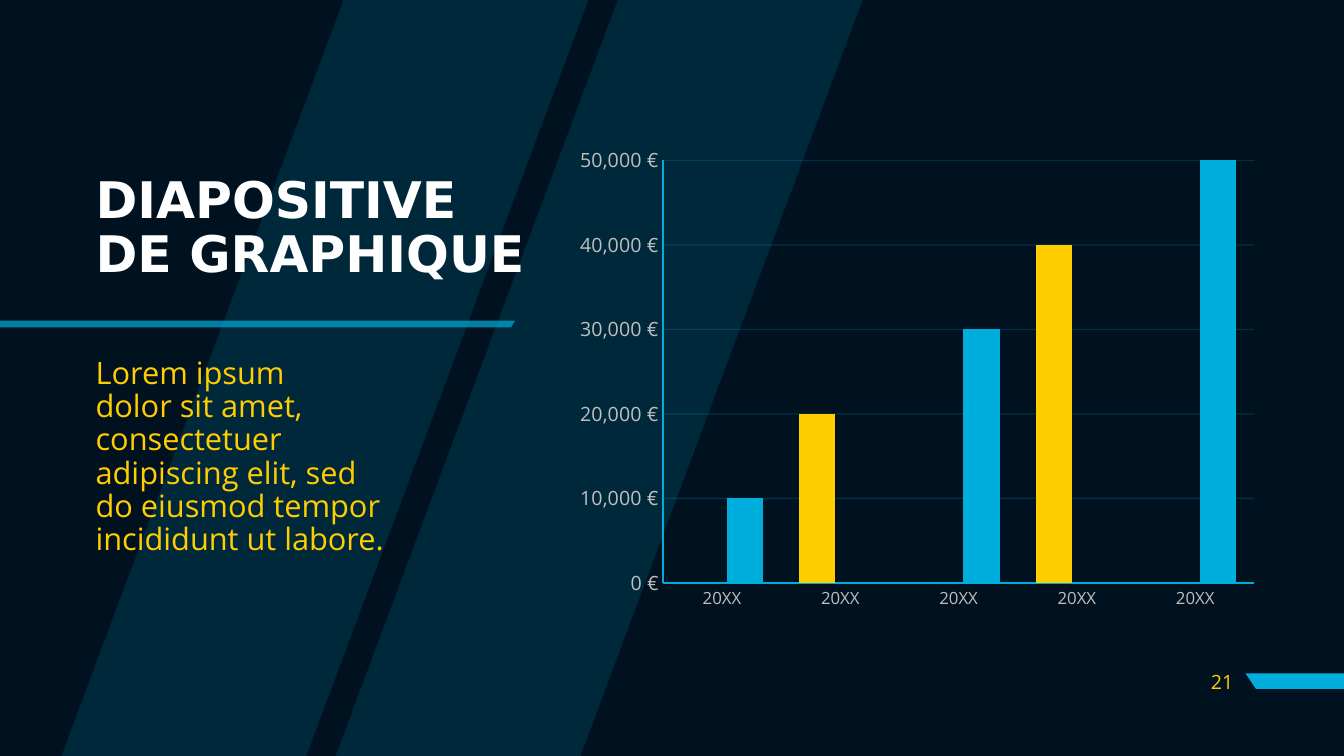
from copy import deepcopy

from lxml.etree import SubElement
from pptx import Presentation
from pptx.chart.data import CategoryChartData
from pptx.dml.color import RGBColor
from pptx.enum.chart import XL_CHART_TYPE, XL_TICK_MARK
from pptx.enum.text import MSO_ANCHOR, PP_ALIGN
from pptx.oxml import parse_xml
from pptx.oxml.ns import nsdecls, qn
from pptx.util import Cm, Pt

NIGHT = RGBColor(0x00, 0x11, 0x1F)
CYAN = RGBColor(0x00, 0xAE, 0xDE)
YELLOW = RGBColor(0xFF, 0xCD, 0x00)
WHITE = RGBColor(0xFF, 0xFF, 0xFF)
SILVER = RGBColor(0xBF, 0xBF, 0xBF)

WIDTH, HEIGHT = 33.87, 19.05


def set_opacity(fill_parent, percent):
    color = fill_parent.find(".//" + qn("a:srgbClr"))
    SubElement(color, qn("a:alpha")).set("val", str(percent * 1000))


def format_text(frame, text, *, size, color, font="Open Sans", bold=False,
                align=PP_ALIGN.LEFT, spacing=1.0):
    paragraph = frame.paragraphs[0]
    paragraph.text = text
    paragraph.alignment = align
    paragraph.line_spacing = spacing
    for run in paragraph.runs:
        run.font.name = font
        run.font.size = Pt(size)
        run.font.bold = bold
        run.font.color.rgb = color


class SlideBuilder:
    def __init__(self, slide, font="Open Sans"):
        self.slide = slide
        self.font = font
        background = slide.background.fill
        background.solid()
        background.fore_color.rgb = NIGHT

    def outline(self, *contours, color=CYAN, opacity=100):
        """Draw closed contours, given as points in cm, as one filled shape."""
        first, *others = [[(Cm(x), Cm(y)) for x, y in contour] for contour in contours]
        builder = self.slide.shapes.build_freeform(*first[0])
        builder.add_line_segments(first[1:])
        for contour in others:
            builder.move_to(*contour[0])
            builder.add_line_segments(contour[1:])
        shape = builder.convert_to_shape()
        shape.shadow.inherit = False
        shape.line.fill.background()
        shape.fill.solid()
        shape.fill.fore_color.rgb = color
        if opacity < 100:
            set_opacity(shape._element.spPr, opacity)

    def text(self, text, left, top, width, height, anchor=MSO_ANCHOR.TOP, **style):
        box = self.slide.shapes.add_textbox(Cm(left), Cm(top), Cm(width), Cm(height))
        frame = box.text_frame
        frame.word_wrap = True
        frame.vertical_anchor = anchor
        format_text(frame, text, **{"font": self.font, **style})

    def style_axis(self, axis, size):
        axis.major_tick_mark = axis.minor_tick_mark = XL_TICK_MARK.NONE
        axis.format.line.color.rgb = CYAN
        axis.format.line.width = Pt(1)
        labels = axis.tick_labels.font
        labels.name, labels.size, labels.color.rgb = self.font, Pt(size), SILVER

    def column_chart(self, years, series, left, top, width, height, plot_area):
        """Add a chart; series maps a name to (values, color)."""
        data = CategoryChartData()
        data.categories = years
        for name, (values, _) in series.items():
            data.add_series(name, values)
        chart = self.slide.shapes.add_chart(
            XL_CHART_TYPE.COLUMN_CLUSTERED,
            Cm(left), Cm(top), Cm(width), Cm(height), data).chart
        chart.has_legend = chart.has_title = False
        chart.font.name, chart.font.size = self.font, Pt(10)

        plot = chart.plots[0]
        plot.vary_by_categories = False
        plot.gap_width, plot.overlap = 100, -27
        for columns, (_, color) in zip(plot.series, series.values()):
            columns.format.fill.solid()
            columns.format.fill.fore_color.rgb = color

        self.style_axis(chart.category_axis, 12)
        amounts = chart.value_axis
        self.style_axis(amounts, 14)
        amounts.minimum_scale, amounts.maximum_scale = 0, 50000
        amounts.major_unit = 10000
        amounts.tick_labels.number_format = r'#,##0\ "€"'
        amounts.tick_labels.number_format_is_linked = False
        grid = amounts.major_gridlines
        grid.format.line.color.rgb = CYAN
        grid.format.line.width = Pt(1)
        set_opacity(amounts._element.find(qn("c:majorGridlines")), 20)
        self.move_last_series_right(chart)
        self.place_plot(chart, plot_area)

    def move_last_series_right(self, chart):
        """Put the last series on a hidden second pair of axes."""
        area = chart._chartSpace.chart.plotArea
        left_bars = area.find(qn("c:barChart"))
        right_bars = deepcopy(left_bars)
        left_bars.addnext(right_bars)
        left_bars.remove(left_bars.findall(qn("c:ser"))[-1])
        for columns in right_bars.findall(qn("c:ser"))[:-1]:
            right_bars.remove(columns)

        old_ids = [ref.get("val") for ref in left_bars.findall(qn("c:axId"))]
        new_ids = dict(zip(old_ids, ("50010", "50020")))
        categories = deepcopy(chart.category_axis._element)
        amounts = deepcopy(chart.value_axis._element)
        amounts.remove(amounts.find(qn("c:majorGridlines")))
        amounts.find(qn("c:axPos")).set("val", "r")
        amounts.find(qn("c:crosses")).set("val", "max")
        for axis in (categories, amounts):
            axis.find(qn("c:delete")).set("val", "1")
        for part in (right_bars, categories, amounts):
            for tag in ("c:axId", "c:crossAx"):
                for ref in part.findall(qn(tag)):
                    ref.set("val", new_ids[ref.get("val")])
        last_axis = chart.value_axis._element
        last_axis.addnext(categories)
        last_axis.addnext(amounts)

    def place_plot(self, chart, plot_area):
        """Fix the inner plot area as (x, y, w, h) fractions of the chart."""
        modes = "".join(f'<c:{axis}Mode val="edge"/>' for axis in "xy")
        sizes = "".join(f'<c:{side} val="{share}"/>'
                        for side, share in zip("xywh", plot_area))
        area = chart._chartSpace.chart.plotArea
        for layout in area.findall(qn("c:layout")):
            area.remove(layout)
        area.insert(0, parse_xml(
            f'<c:layout {nsdecls("c")}><c:manualLayout>'
            f'<c:layoutTarget val="inner"/>{modes}{sizes}'
            '</c:manualLayout></c:layout>'))


def slanted_band(foot, width=6.17, slant=7.11):
    return [(foot, HEIGHT), (foot + width, HEIGHT),
            (foot + width + slant, 0), (foot + slant, 0)]


def main():
    deck = Presentation()
    deck.slide_width, deck.slide_height = Cm(WIDTH), Cm(HEIGHT)
    page = SlideBuilder(deck.slides.add_slide(deck.slide_layouts[6]))

    page.outline(slanted_band(1.55), slanted_band(8.46), opacity=15)
    page.outline([(WIDTH, 16.97), (WIDTH, 17.36), (31.65, 17.36), (31.39, 16.97)])
    page.outline([(0, 8.08), (0, 8.25), (12.88, 8.25), (12.98, 8.08)], opacity=70)

    page.text("DIAPOSITIVE DE GRAPHIQUE", 2.16, 3.66, 11.56, 4.24,
              anchor=MSO_ANCHOR.MIDDLE, size=36, color=WHITE,
              font="DejaVu Sans", bold=True, spacing=0.9)
    page.text("Lorem ipsum\ndolor sit amet, consectetuer adipiscing elit, sed\n"
              "do eiusmod tempor incididunt ut labore.",
              2.16, 8.89, 7.85, 5.99, size=22, color=YELLOW, spacing=0.9)
    page.column_chart(
        ["20XX"] * 5,
        {"Series 1": ([None, 20000, None, 40000, None], YELLOW),
         "Series 2": ([10000, None, 30000, None, 50000], CYAN)},
        14.22, 3.44, 17.75, 12.1, plot_area=(0.14, 0.05, 0.84, 0.88))
    page.text("21", 29.81, 16.66, 1.52, 1.02, anchor=MSO_ANCHOR.MIDDLE,
              size=14, color=YELLOW, align=PP_ALIGN.RIGHT)

    deck.save("out.pptx")


if __name__ == "__main__":
    main()
